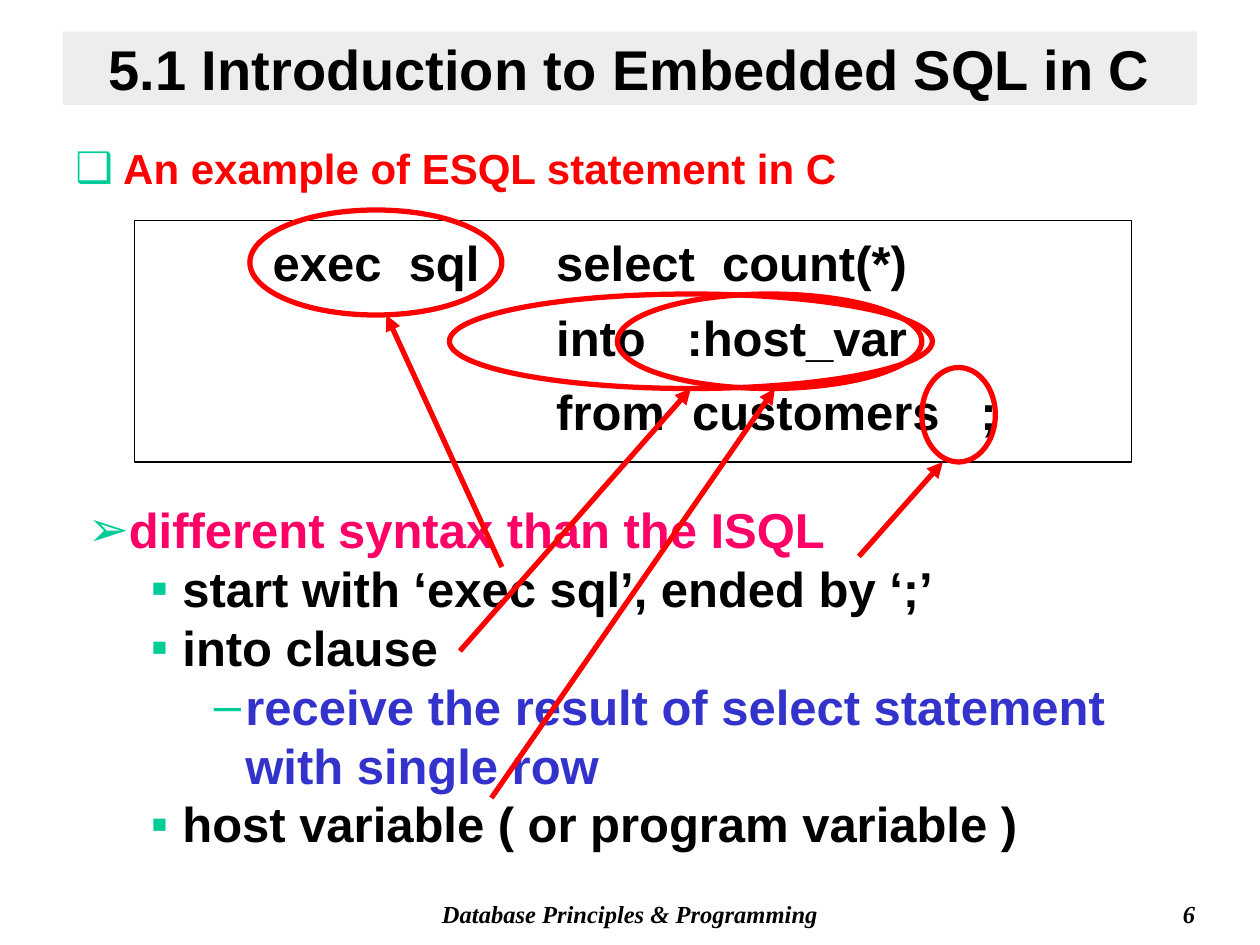
from lxml import etree
from pptx import Presentation
from pptx import util as u
from pptx.dml.color import RGBColor
from pptx.enum import shapes, text
from pptx.oxml import ns

COLORS = {
    "black": "000000", "white": "FFFFFF", "band": "DDDDDD", "red": "FF0000",
    "pink": "FF0066", "blue": "3333CC", "bullet": "00CC99",
}
RGB = {name: RGBColor.from_string(value) for name, value in COLORS.items()}

presentation = Presentation()
presentation.slide_width = u.Inches(10)
presentation.slide_height = u.Inches(7.5)
slide = presentation.slides.add_slide(presentation.slide_layouts[6])

# Grid of 120 columns and 90 rows
COLUMN = presentation.slide_width / 120
ROW = presentation.slide_height / 90


def add_box(kind, left, top, width, height):
    """Add a preset shape, or a text box when kind is None, on the grid."""
    place = [round(left * COLUMN), round(top * ROW), round(width * COLUMN), round(height * ROW)]
    if kind is None:
        shape = slide.shapes.add_textbox(*place)
    else:
        shape = slide.shapes.add_shape(kind, *place)
        shape.shadow.inherit = False
    shape.text_frame.word_wrap = True
    shape.text_frame.vertical_anchor = text.MSO_ANCHOR.TOP
    return shape


def style(paragraph, size, color, margin=0, indent=0, bullet=None, font="Arial"):
    """Set indents in inches, an optional bullet and the bold font."""
    properties = paragraph._p.get_or_add_pPr()
    properties.set("marL", str(u.Inches(margin)))
    properties.set("indent", str(u.Inches(indent)))
    if bullet:
        bullet_color = etree.SubElement(properties, ns.qn("a:buClr"))
        etree.SubElement(bullet_color, ns.qn("a:srgbClr"), val=COLORS["bullet"])
        etree.SubElement(properties, ns.qn("a:buFont"), typeface="Arial")
        etree.SubElement(properties, ns.qn("a:buChar"), char=bullet)
    for run in paragraph.runs:
        run.font.name = font
        run.font.size = u.Pt(size)
        run.font.bold = True
        run.font.color.rgb = RGB[color]


# Footer and page number
for left, width, wording, alignment in [
    (34, 52, "Database Principles & Programming", text.PP_ALIGN.CENTER),
    (90, 25, "6", text.PP_ALIGN.RIGHT),
]:
    footer = add_box(None, left, 85, width, 4)
    footer.text_frame.text = wording
    paragraph = footer.text_frame.paragraphs[0]
    paragraph.alignment = alignment
    style(paragraph, 14, "black", font="Times New Roman")
    paragraph.runs[0].font.italic = True

# Title band, half transparent
title = add_box(shapes.MSO_SHAPE.RECTANGLE, 6, 3, 108, 7)
title.fill.solid()
title.fill.fore_color.rgb = RGB["band"]
band_color = title._element.spPr.find(".//" + ns.qn("a:srgbClr"))
etree.SubElement(band_color, ns.qn("a:alpha"), val="50000")
title.line.fill.background()
title.text_frame.vertical_anchor = text.MSO_ANCHOR.MIDDLE
title.text_frame.text = "5.1 Introduction to Embedded SQL in C"
title.text_frame.paragraphs[0].alignment = text.PP_ALIGN.CENTER
style(title.text_frame.paragraphs[0], 32, "black")

# Heading
heading = add_box(None, 6, 13, 108, 6)
heading.text_frame.text = "An example of ESQL statement in C"
style(heading.text_frame.paragraphs[0], 24, "red", 0.38, -0.38, "❑")

# Syntax notes: wording, colour, margin, indent, bullet
notes = [
    ("different syntax than the ISQL", "pink", 0.81, -0.31, "➢"),
    ("start with ‘exec sql’, ended by ‘;’", "black", 1.25, -0.25, "▪"),
    ("into clause", "black", 1.25, -0.25, "▪"),
    ("receive the result of select statement with single row", "blue", 1.75, -0.25, "–"),
    ("host variable ( or program variable )", "black", 1.25, -0.25, "▪"),
]
notes_box = add_box(None, 1.2, 47, 108, 34)
notes_box.text_frame.text = "\n".join(note[0] for note in notes)
for paragraph, (_, color, margin, indent, bullet) in zip(notes_box.text_frame.paragraphs, notes):
    style(paragraph, 28, color, margin, indent, bullet)

# Framed statement: the clauses line up under "select"
clauses = [
    ("exec  sql  \tselect  count(*)", 1.25, -0.25),
    ("into   :host_var", 3.25, 0),
    ("from  customers   ;", 3.25, 0),
]
statement = add_box(shapes.MSO_SHAPE.RECTANGLE, 12.8, 21, 95, 23)
statement.fill.solid()
statement.fill.fore_color.rgb = RGB["white"]
statement.line.color.rgb = RGB["black"]
statement.line.width = u.Pt(0.75)
statement.text_frame.text = "\n".join(clause[0] for clause in clauses)
for index, (paragraph, (_, margin, indent)) in enumerate(
    zip(statement.text_frame.paragraphs, clauses)
):
    paragraph.alignment = text.PP_ALIGN.LEFT
    paragraph.line_spacing = 1.1
    if index:
        paragraph.space_before = u.Pt(5.6)
    style(paragraph, 28, "black", margin, indent)

# Each marked part: its ellipse, then the arrow from the note to it
marks = [
    ((42.8, 28, 46, 9), (43.8, 62, 65.8, 37)),   # into clause
    ((58.8, 28, 29, 9), (46.8, 76, 73.8, 37)),   # host variable
    ((23.8, 20, 24, 10), (47.8, 54, 36.8, 30)),  # exec sql
    ((87.8, 35, 7, 9), (81.8, 53, 89.8, 44)),    # semicolon
]
for ring, (start_x, start_y, end_x, end_y) in marks:
    ellipse = add_box(shapes.MSO_SHAPE.OVAL, *ring)
    ellipse.fill.background()
    arrow = slide.shapes.add_connector(
        shapes.MSO_CONNECTOR.STRAIGHT,
        round(start_x * COLUMN), round(start_y * ROW),
        round(end_x * COLUMN), round(end_y * ROW),
    )
    for outline in (ellipse.line, arrow.line):
        outline.color.rgb = RGB["red"]
        outline.width = u.Pt(3)
    etree.SubElement(arrow.line._get_or_add_ln(), ns.qn("a:tailEnd"), type="triangle")
    etree.SubElement(arrow._element.spPr, ns.qn("a:effectLst"))

presentation.save("out.pptx")
